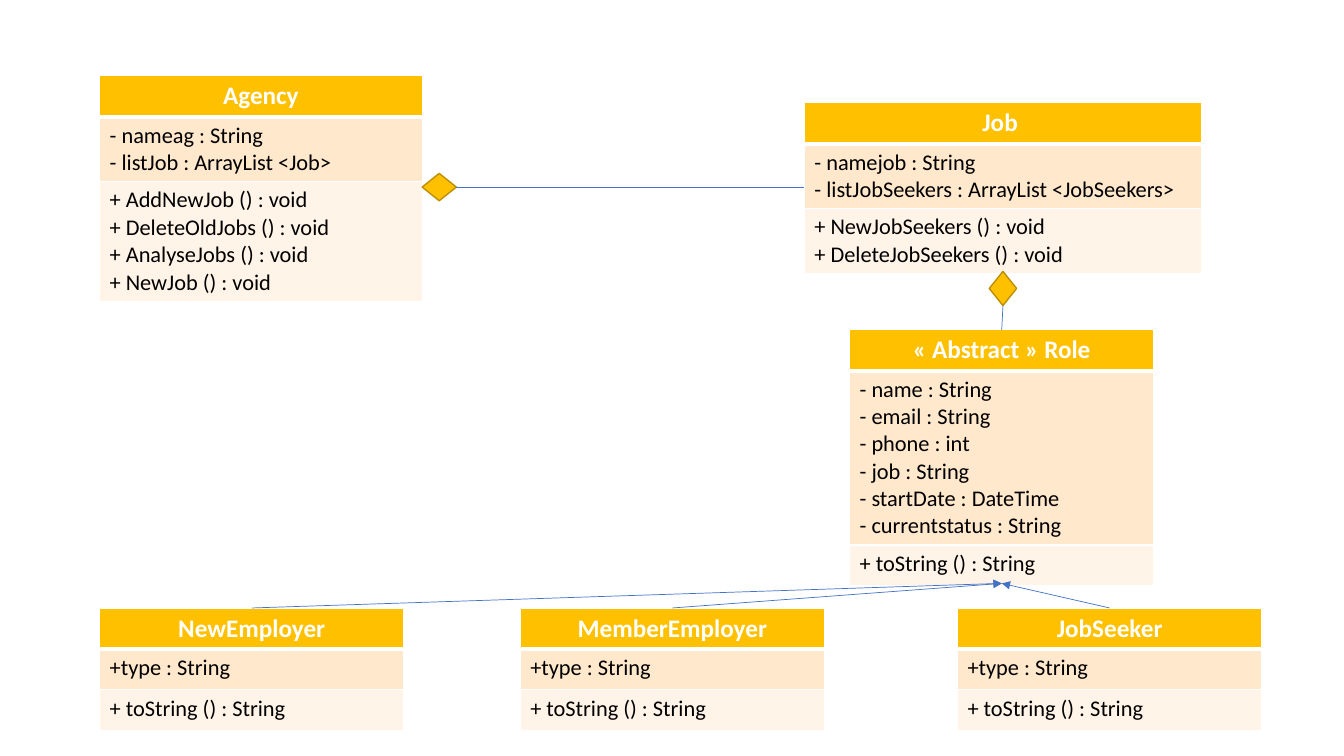
import dataclasses

import lxml.etree
import pptx
import pptx.dml.color
import pptx.enum.shapes
import pptx.enum.text
import pptx.oxml
import pptx.oxml.ns
import pptx.util

Cm = pptx.util.Cm
Pt = pptx.util.Pt
SHAPES = pptx.enum.shapes.MSO_SHAPE
ALIGN = pptx.enum.text.PP_ALIGN


@dataclasses.dataclass(frozen=True)
class Theme:
    font: str = "Calibri"
    title_size: int = 18
    body_size: int = 16
    amber: str = "FFC000"
    amber_edge: str = "BD8E00"
    attribute_fill: str = "FFE8CC"
    method_fill: str = "FFF4E7"
    white: str = "FFFFFF"
    black: str = "000000"
    link: str = "4472C4"


@dataclasses.dataclass(frozen=True)
class Box:
    """A rectangle in centimetres."""
    left: float
    top: float
    width: float
    height: float

    @property
    def middle(self):
        return self.top + self.height / 2

    @property
    def centre(self):
        return self.left + self.width / 2

    @property
    def right(self):
        return self.left + self.width

    @property
    def bottom(self):
        return self.top + self.height

    def lengths(self):
        return [Cm(value) for value in dataclasses.astuple(self)]


THEME = Theme()
ROW_HEIGHT, LINE_HEIGHT, ROW_PADDING = 1.03, 0.68, 0.25
DIAMOND_LENGTH, DIAMOND_BREADTH = 0.86, 0.69
SUBCLASS_TOP, SUBCLASS_WIDTH = 15.32, 7.67


def rgb(value):
    return pptx.dml.color.RGBColor.from_string(value)


def write_text(para, text, *, size, color, bold=False, align=ALIGN.LEFT):
    para.alignment = align
    span = para.add_run()
    span.text = text
    span.font.name = THEME.font
    span.font.size = Pt(size)
    span.font.bold = bold
    span.font.color.rgb = rgb(color)


def add_borders(cell, widths):
    properties = cell._tc.get_or_add_tcPr()
    for side, width in zip("LRTB", widths):
        properties.append(pptx.oxml.parse_xml(
            f'<a:ln{side} {pptx.oxml.ns.nsdecls("a")} w="{Pt(width)}">'
            f'<a:solidFill><a:srgbClr val="{THEME.white}"/></a:solidFill></a:ln{side}>'))


def add_class(page, left, top, width, name, attributes, methods):
    """Draws a three-part class table and returns the box it fills."""
    parts = [[name], attributes, methods]
    heights = [max(ROW_HEIGHT, ROW_PADDING + LINE_HEIGHT * len(lines)) for lines in parts]
    box = Box(left, top, width, sum(heights))
    table = page.shapes.add_table(3, 1, *box.lengths()).table
    table.horz_banding = False
    fills = [THEME.amber, THEME.attribute_fill, THEME.method_fill]
    borders = [(1, 1, 1, 3), (1, 1, 3, 1), (1, 1, 1, 1)]
    title_format = dict(size=THEME.title_size, color=THEME.white, bold=True, align=ALIGN.CENTER)
    body_format = dict(size=THEME.body_size, color=THEME.black)

    for index, lines in enumerate(parts):
        table.rows[index].height = Cm(heights[index])
        cell = table.cell(index, 0)
        add_borders(cell, borders[index])
        cell.fill.solid()
        cell.fill.fore_color.rgb = rgb(fills[index])
        for number, line in enumerate(lines):
            frame = cell.text_frame
            para = frame.add_paragraph() if number else frame.paragraphs[0]
            write_text(para, line, **(body_format if index else title_format))
    return box


def add_diamond(page, centre, middle, rotation=0):
    box = Box(centre - DIAMOND_LENGTH / 2, middle - DIAMOND_BREADTH / 2,
              DIAMOND_LENGTH, DIAMOND_BREADTH)
    diamond = page.shapes.add_shape(SHAPES.FLOWCHART_DECISION, *box.lengths())
    diamond.rotation = rotation
    diamond.shadow.inherit = False
    diamond.fill.solid()
    diamond.fill.fore_color.rgb = rgb(THEME.amber)
    diamond.line.color.rgb = rgb(THEME.amber_edge)
    diamond.line.width = Pt(1)


def add_link(page, start, end, arrow=False):
    link = page.shapes.add_connector(
        pptx.enum.shapes.MSO_CONNECTOR.STRAIGHT, *[Cm(value) for value in (*start, *end)])
    link.line.color.rgb = rgb(THEME.link)
    link.line.width = Pt(0.5)
    qn = pptx.oxml.ns.qn
    if arrow:
        lxml.etree.SubElement(link.line._get_or_add_ln(), qn("a:tailEnd"), type="triangle")
    lxml.etree.SubElement(link._element.spPr, qn("a:effectLst"))


def add_composition(page):
    """Draws Agency, Job and Role with their links and returns the Role box."""
    agency = add_class(
        page, 2.51, 1.91, 8.13, "Agency",
        ["- nameag : String", "- listJob : ArrayList <Job>"],
        ["+ AddNewJob () : void", "+ DeleteOldJobs () : void",
         "+ AnalyseJobs () : void", "+ NewJob () : void"])
    job = add_class(
        page, 20.27, 2.59, 10.01, "Job ",
        ["- namejob : String", "- listJobSeekers : ArrayList <JobSeekers>"],
        ["+ NewJobSeekers () : void", "+ DeleteJobSeekers () : void"])
    role = add_class(
        page, 21.41, 8.31, SUBCLASS_WIDTH, "« Abstract » Role",
        ["- name : String", "- email : String", "- phone : int", "- job : String",
         "- startDate : DateTime", "- currentstatus : String"],
        ["+ toString () : String"])

    # Agency holds jobs
    add_diamond(page, agency.right + DIAMOND_LENGTH / 2, agency.middle)
    add_link(page, (agency.right + DIAMOND_LENGTH, agency.middle), (job.left, agency.middle))

    # Job holds roles
    add_diamond(page, job.centre, job.bottom + DIAMOND_LENGTH / 2, rotation=90)
    add_link(page, (job.centre, job.bottom + DIAMOND_LENGTH), (role.centre, role.top))
    return role


def add_subclasses(page, role):
    """Draws the row of subclasses, each with an arrow to the Role box."""
    for name, left in [("NewEmployer", 2.51), ("MemberEmployer", 13.11), ("JobSeeker", 24.13)]:
        box = add_class(page, left, SUBCLASS_TOP, SUBCLASS_WIDTH, name,
                        ["+type : String"], ["+ toString () : String"])
        add_link(page, (box.centre, box.top), (role.centre, role.bottom), arrow=True)


def main():
    deck = pptx.Presentation()
    deck.slide_width, deck.slide_height = Cm(33.87), Cm(19.05)
    page = deck.slides.add_slide(deck.slide_layouts[6])
    role = add_composition(page)
    add_subclasses(page, role)
    deck.save("out.pptx")


if __name__ == "__main__":
    main()
